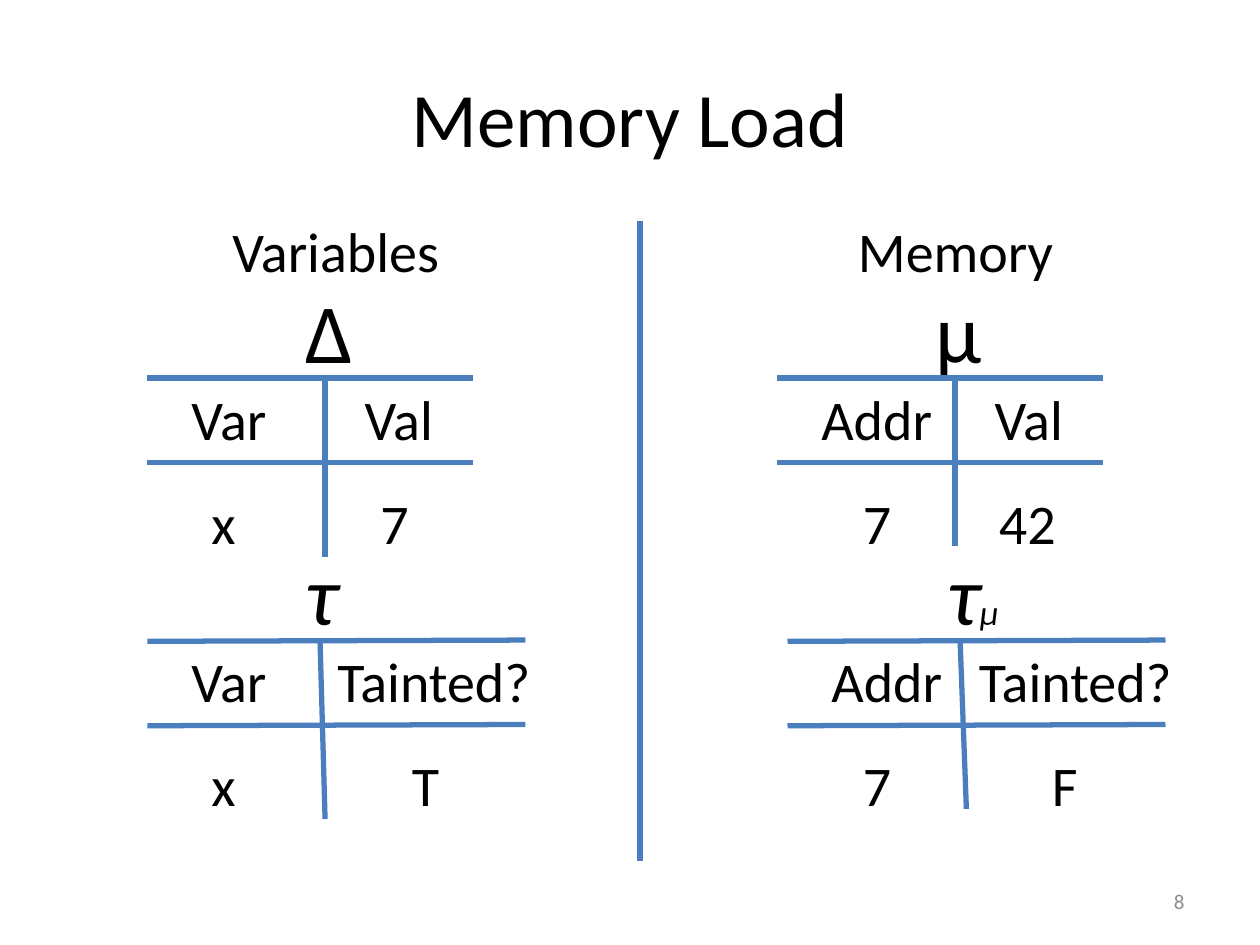
from lxml import etree
from pptx import Presentation
from pptx.dml.color import RGBColor
from pptx.enum.shapes import MSO_CONNECTOR
from pptx.enum.text import MSO_ANCHOR, PP_ALIGN
from pptx.oxml.ns import qn
from pptx.util import Inches, Pt

LEFT, CENTER, RIGHT = PP_ALIGN.LEFT, PP_ALIGN.CENTER, PP_ALIGN.RIGHT
TOP, MIDDLE = MSO_ANCHOR.TOP, MSO_ANCHOR.MIDDLE
STRAIGHT = MSO_CONNECTOR.STRAIGHT

FONT, BLACK, GRAY, BLUE = "Calibri", "000000", "8C8C8C", "4B7EBC"
SYMBOL_SIZE, CELL_SIZE, SUBSCRIPT_SIZE = 48, 32, 20
SYMBOL_HEIGHT, CELL_HEIGHT = 0.91, 0.64
ROW_STEP, RULE_STEP = 0.83, 0.67

TITLE, PAGE = "Memory Load", "8"
HEADINGS = [("Variables", 1.58), ("Memory", 6.5)]
DIVIDER = (5.08, 1.75, 5.08, 6.83)

TABLES = [
    {"top": 3, "tilt": 0, "rule": (1.17, 3.75), "stem": (2.58, 2.58, 4.42),
     "symbol": ("Δ", "", 2.33, 0.58, False),
     "header": [("Var", 1.42, 1.08, LEFT), ("Val", 2.58, 1.17, CENTER)],
     "values": [("x", 1.58, 0.42, LEFT), ("7", 2.92, 0.42, LEFT)]},
    {"top": 5.08, "tilt": 0.01, "rule": (1.17, 4.17), "stem": (2.54, 2.58, 6.5),
     "symbol": ("τ", "", 2.33, 0.58, True),
     "header": [("Var", 1.42, 1.08, LEFT), ("Tainted?", 2.58, 1.75, LEFT)],
     "values": [("x", 1.58, 0.42, LEFT), ("T", 3.17, 0.42, LEFT)]},
    {"top": 3, "tilt": 0, "rule": (6.17, 8.75), "stem": (7.58, 7.58, 4.33),
     "symbol": ("μ", "", 7.33, 0.58, False),
     "header": [("Addr", 6.42, 1.08, LEFT), ("Val", 7.58, 1.17, CENTER)],
     "values": [("7", 6.75, 0.42, LEFT), ("42", 7.83, 0.67, LEFT)]},
    {"top": 5.08, "tilt": 0.01, "rule": (6.25, 9.25), "stem": (7.62, 7.67, 6.42),
     "symbol": ("τ", "μ", 7.42, 0.67, True),
     "header": [("Addr", 6.5, 1.08, LEFT), ("Tainted?", 7.67, 1.75, LEFT)],
     "values": [("7", 6.75, 0.42, LEFT), ("F", 8.25, 0.42, LEFT)]},
]


def rgb(value):
    return RGBColor.from_string(value)


def add_run(paragraph, text, size, color=BLACK, italic=False):
    run = paragraph.add_run()
    run.text = text
    formats = {"name": FONT, "size": Pt(size), "italic": italic}
    for name, value in formats.items():
        setattr(run.font, name, value)
    run.font.color.rgb = rgb(color)


def add_text(shapes, text, box, size, align=LEFT, anchor=TOP, color=BLACK, italic=False):
    frame = shapes.add_textbox(*map(Inches, box)).text_frame
    frame.word_wrap = True
    frame.vertical_anchor = anchor
    paragraph = frame.paragraphs[0]
    paragraph.alignment = align
    add_run(paragraph, text, size, color, italic)
    return paragraph


def add_line(shapes, *ends):
    line = shapes.add_connector(STRAIGHT, *map(Inches, ends))
    line.line.color.rgb = rgb(BLUE)
    line.line.width = Pt(3)
    etree.SubElement(line._element.spPr, qn("a:effectLst"))


def add_state_table(slide, table):
    shapes = slide.shapes.add_group_shape().shapes
    top, tilt = table["top"], table["tilt"]
    symbol, subscript, left, width, italic = table["symbol"]
    label = add_text(shapes, symbol, (left, top - ROW_STEP, width, SYMBOL_HEIGHT),
                     SYMBOL_SIZE, italic=italic)
    if subscript:
        add_run(label, subscript, SUBSCRIPT_SIZE, italic=italic)
    for row, cells in enumerate((table["header"], table["values"])):
        for text, left, width, align in cells:
            add_text(shapes, text, (left, top + row * ROW_STEP, width, CELL_HEIGHT),
                     CELL_SIZE, align)
        start, end = table["rule"]
        rule_y = top + row * RULE_STEP
        add_line(shapes, start, rule_y + tilt, end, rule_y)
    stem_top, stem_foot, bottom = table["stem"]
    add_line(shapes, stem_top, top, stem_foot, bottom)


def main():
    deck = Presentation()
    deck.slide_width, deck.slide_height = Inches(10), Inches(7.5)
    slide = deck.slides.add_slide(deck.slide_layouts[6])
    add_text(slide.shapes, TITLE, (0.5, 0.3, 9, 1.25), 44, CENTER, MIDDLE)
    add_text(slide.shapes, PAGE, (7.17, 6.95, 2.33, 0.4), 12, RIGHT, MIDDLE, GRAY)
    for heading, left in HEADINGS:
        add_text(slide.shapes, heading, (left, 1.67, 2.17, CELL_HEIGHT), CELL_SIZE, CENTER)
    for table in TABLES:
        add_state_table(slide, table)
    add_line(slide.shapes, *DIVIDER)
    deck.save("out.pptx")


if __name__ == "__main__":
    main()
